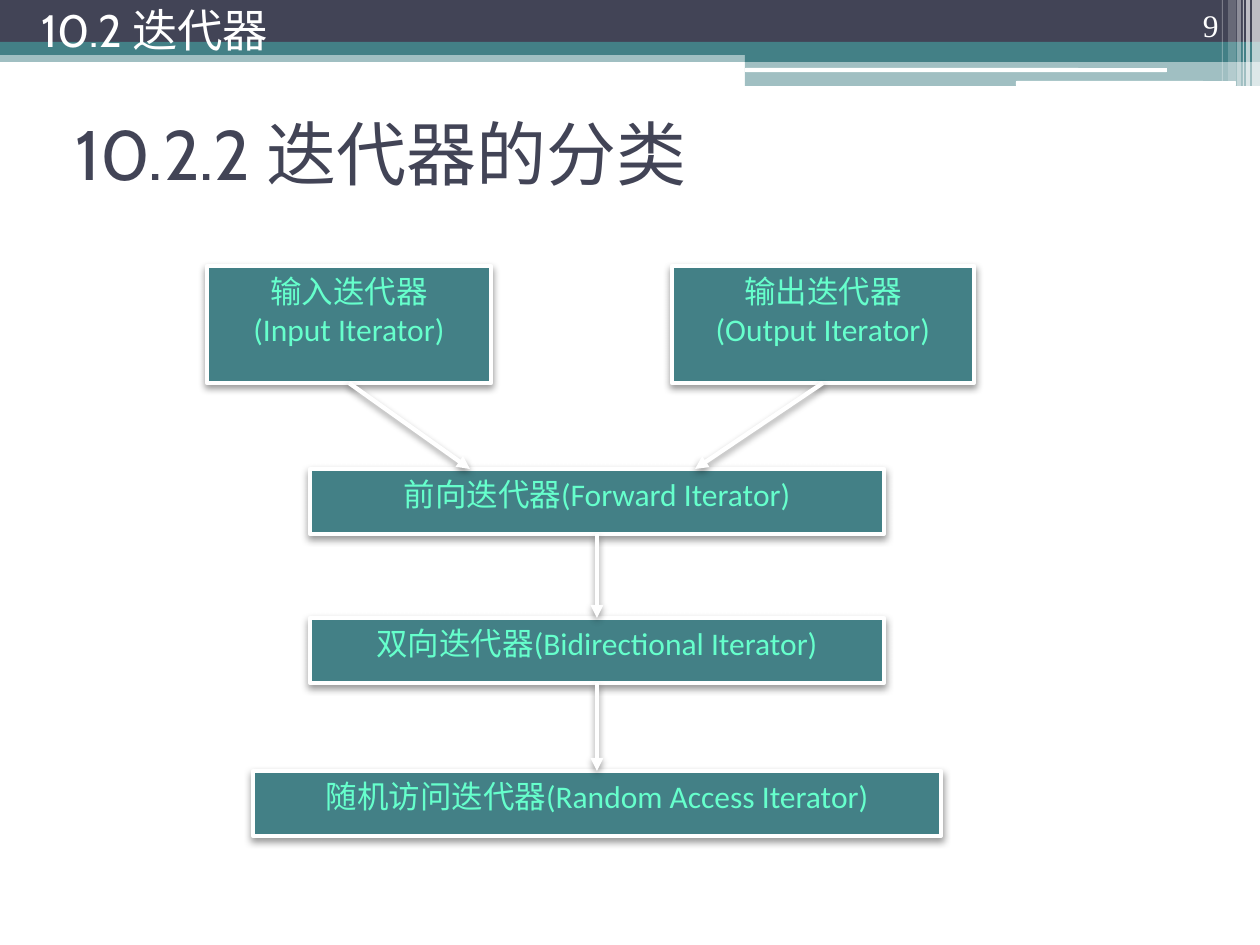
from lxml import etree
from pptx import Presentation
from pptx.dml.color import RGBColor
from pptx.enum.shapes import MSO_CONNECTOR, MSO_SHAPE
from pptx.enum.text import MSO_ANCHOR, PP_ALIGN
from pptx.oxml import parse_xml
from pptx.oxml.ns import nsdecls, qn
from pptx.util import Pt

RECTANGLE, ROUNDED = MSO_SHAPE.RECTANGLE, MSO_SHAPE.ROUNDED_RECTANGLE
STRAIGHT = MSO_CONNECTOR.STRAIGHT
TOP, MIDDLE, BOTTOM = MSO_ANCHOR.TOP, MSO_ANCHOR.MIDDLE, MSO_ANCHOR.BOTTOM
LEFT, CENTER, RIGHT = PP_ALIGN.LEFT, PP_ALIGN.CENTER, PP_ALIGN.RIGHT
TOP_SITE, BOTTOM_SITE = 0, 2

PX = 914400 / 126
WIDTH, HEIGHT = 1260, 945
LINE_WIDTH = 2.5
COLORS = {"navy": "424456", "teal": "438086", "white": "FFFFFF",
          "mint": "66FFCC", "black": "000000"}

# shape, left, top, width, height, color, opacity in percent
BANDS = [
    (RECTANGLE, 0, 50, WIDTH, 12, "teal", 50),
    (RECTANGLE, 0, 0, WIDTH, 43, "navy", 100),
    (RECTANGLE, 0, 42, WIDTH, 13, "teal", 100),
    (RECTANGLE, 745, 49, 515, 13, "teal", 100),
    (RECTANGLE, 745, 61, 515, 25, "teal", 50),
    (ROUNDED, 745, 68, 422, 4, "white", 100),
    (ROUNDED, 1016, 81, 220, 5, "white", 100),
]
# left, width, height, opacity in percent
STRIPES = [(1252, 8, 86, 65), (1246, 4, 86, 65), (1243, 1, 86, 60),
           (1237, 4, 86, 40), (1228, 8, 81, 20), (1222, 1, 81, 30)]

# text, left, top, width, height, anchor, alignment, size, font, color
TEXTS = [
    ("10.2.2 迭代器的分类", 63, 79, 1134, 147, MIDDLE, LEFT, 40, "Cabin", "navy"),
    ("9", 1126, 0, 105, 50, BOTTOM, RIGHT, 18, "Times New Roman", "white"),
    ("10.2 迭代器", 29, 0, 1063, 59, MIDDLE, LEFT, 25.9, "Cabin", "white"),
]

# name: text, center, top, width, height
ITERATORS = {
    "input": ("输入迭代器\v(Input Iterator)", 349, 266, 284, 117),
    "output": ("输出迭代器\v(Output Iterator)", 823, 266, 302, 117),
    "forward": ("前向迭代器(Forward Iterator)", 597, 469, 574, 65),
    "bidirectional": ("双向迭代器(Bidirectional Iterator)", 597, 618, 574, 65),
    "random": ("随机访问迭代器(Random Access Iterator)", 597, 771, 688, 65),
}
# start, end, where the arrow meets the top edge (None: its middle)
ARROWS = [("input", "forward", 470), ("output", "forward", 695),
          ("forward", "bidirectional", None), ("bidirectional", "random", None)]


def px(*lengths):
    return [round(length * PX) for length in lengths]


def rgb(name):
    return RGBColor.from_string(COLORS[name])


def add_block(slide, kind, box, color, opacity=100):
    shape = slide.shapes.add_shape(kind, *px(*box))
    shape.shadow.inherit = False
    shape.fill.solid()
    shape.fill.fore_color.rgb = rgb(color)
    shape.line.fill.background()
    if opacity < 100:
        fill_color = shape.fill._xPr.find(qn("a:solidFill"))[0]
        etree.SubElement(fill_color, qn("a:alpha"), val=str(opacity * 1000))
    return shape


def write(shape, text, anchor, alignment, size, font, color):
    frame = shape.text_frame
    frame.word_wrap = True
    frame.vertical_anchor = anchor
    frame.text = text
    paragraph = frame.paragraphs[0]
    paragraph.alignment = alignment
    paragraph.font.size = Pt(size)
    paragraph.font.name = font
    paragraph.font.color.rgb = rgb(color)


def outline_with_shadow(shape, arrowhead=False):
    shape.line.color.rgb = rgb("white")
    shape.line.width = Pt(LINE_WIDTH)
    if arrowhead:
        etree.SubElement(shape.line._get_or_add_ln(), qn("a:tailEnd"), type="triangle")
    properties = shape._element.spPr
    for effects in properties.findall(qn("a:effectLst")):
        properties.remove(effects)
    properties.append(parse_xml(
        f'<a:effectLst {nsdecls("a")}>'
        f'<a:outerShdw blurRad="{Pt(4.1)}" dist="{Pt(2)}" dir="5400000" rotWithShape="0">'
        f'<a:srgbClr val="{COLORS["black"]}"><a:alpha val="40000"/></a:srgbClr>'
        '</a:outerShdw></a:effectLst>'))


def add_arrow(slide, boxes, start, end, landing):
    _, start_x, start_top, _, start_height = ITERATORS[start]
    _, end_x, end_top, _, _ = ITERATORS[end]
    arrow = slide.shapes.add_connector(
        STRAIGHT, *px(start_x, start_top + start_height, landing or end_x, end_top))
    arrow.begin_connect(boxes[start], BOTTOM_SITE)
    if landing is None:
        arrow.end_connect(boxes[end], TOP_SITE)
    outline_with_shadow(arrow, arrowhead=True)


def main():
    presentation = Presentation()
    presentation.slide_width, presentation.slide_height = px(WIDTH, HEIGHT)
    slide = presentation.slides.add_slide(presentation.slide_layouts[6])

    for kind, *box, color, opacity in BANDS:
        add_block(slide, kind, box, color, opacity)
    for left, width, height, opacity in STRIPES:
        add_block(slide, RECTANGLE, (left, 0, width, height), "white", opacity)

    for text, left, top, width, height, *style in TEXTS:
        write(slide.shapes.add_textbox(*px(left, top, width, height)), text, *style)

    boxes = {}
    for name, (text, center, top, width, height) in ITERATORS.items():
        box = add_block(slide, RECTANGLE, (center - width / 2, top, width, height), "teal")
        outline_with_shadow(box)
        write(box, text, TOP, CENTER, 18, "Calibri", "mint")
        boxes[name] = box
    for start, end, landing in ARROWS:
        add_arrow(slide, boxes, start, end, landing)

    presentation.save("out.pptx")


if __name__ == "__main__":
    main()
